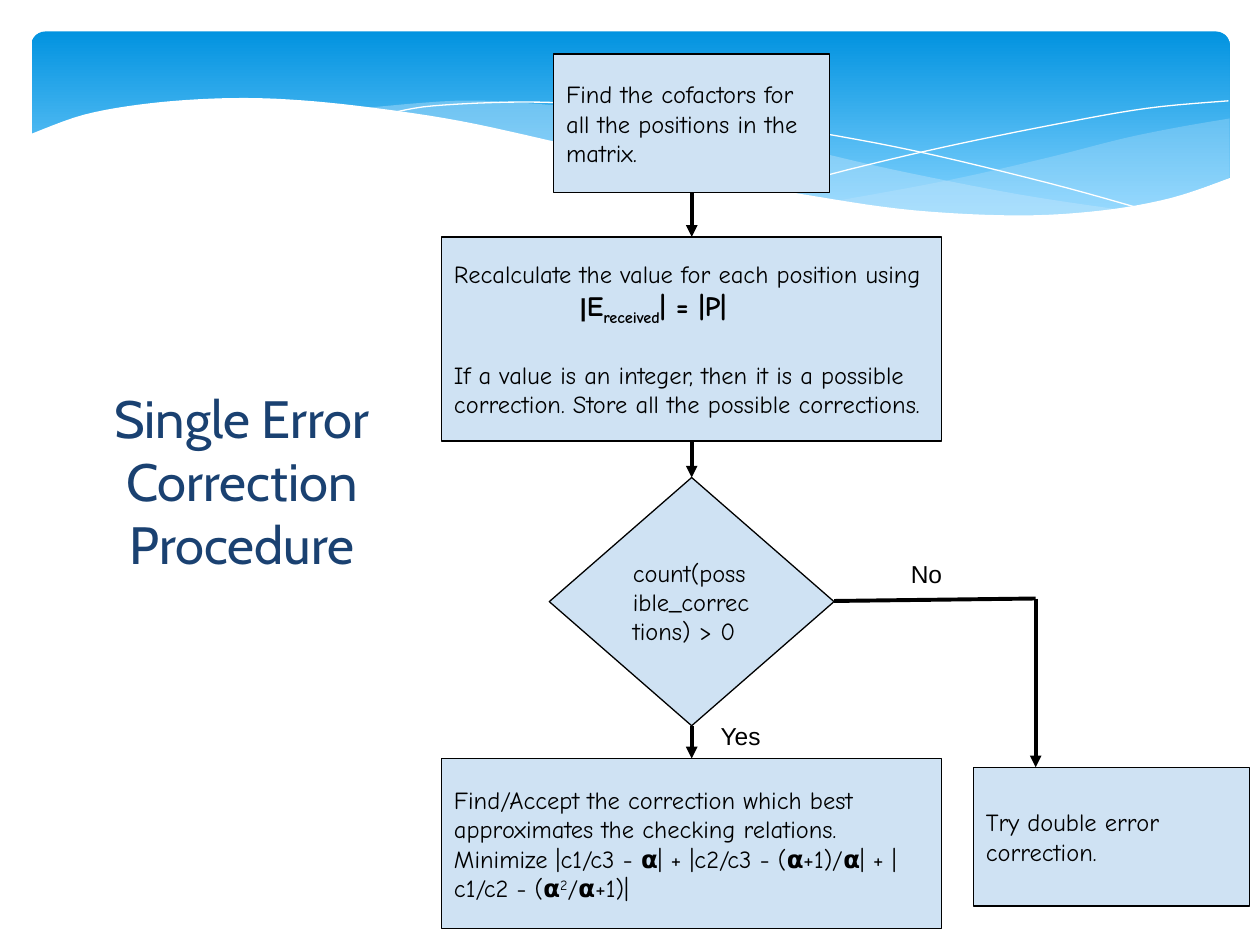
from lxml.etree import SubElement
from pptx import Presentation
from pptx.dml.color import RGBColor
from pptx.enum.shapes import MSO_CONNECTOR, MSO_SHAPE
from pptx.enum.text import MSO_ANCHOR, PP_ALIGN
from pptx.oxml.ns import qn
from pptx.util import Inches, Pt

BLACK = RGBColor(0x00, 0x00, 0x00)
WHITE = RGBColor(0xFF, 0xFF, 0xFF)
NAVY = RGBColor(0x1A, 0x41, 0x71)
BOX_BLUE = RGBColor(0xCF, 0xE2, 0xF3)
SKY_TOP = RGBColor(0x02, 0x93, 0xE0)
SKY_BOTTOM = RGBColor(0x81, 0xD2, 0xFE)
PALE = RGBColor(0xC6, 0xE7, 0xFC)

TITLE = "Single Error Correction Procedure"
MID_X = 5.49
PROCESS, DECISION = MSO_SHAPE.FLOWCHART_PROCESS, MSO_SHAPE.FLOWCHART_DECISION

# Each paragraph: (format, [(text, run format), ...])
FORMULA = {"bold": True, "size": Pt(16)}
STEPS = {  # name: (shape, centre x, top, width, height, paragraphs)
    "cofactors": (PROCESS, MID_X, 0.43, 2.19, 1.1, [
        ({}, [("Find the cofactors for all the positions in the matrix.", {})])]),
    "recalculate": (PROCESS, MID_X, 1.88, 3.97, 1.62, [
        ({}, [("Recalculate the value for each position using", {})]),
        ({"indent": 0.5}, [("|", {"bold": True, "name": "Arial"}), ("E", FORMULA),
                           ("received", {**FORMULA, "baseline": -25}),
                           ("| = |P|", FORMULA)]),
        ({"space_before": Pt(19)}, [
            ("If a value is an integer, then it is a possible correction. "
             "Store all the possible corrections.", {})])]),
    "count": (DECISION, MID_X, 3.79, 2.26, 1.97, [
        ({}, [("count(possible_corrections) > 0", {})])]),
    "accept": (PROCESS, MID_X, 6.02, 3.97, 1.35, [
        ({}, [("Find/Accept the correction which best approximates "
               "the checking relations.", {})]),
        ({}, [("Minimize |c1/c3 - 𝝰| + |c2/c3 - (𝝰+1)/𝝰| + |c1/c2 - (𝝰", {}),
              ("2", {"baseline": 30}), ("/𝝰+1)|", {})])]),
    "double": (PROCESS, 8.82, 6.09, 2.19, 1.1, [
        ({}, [("Try double error correction.", {})])]),
}
FLOW = ["cofactors", "recalculate", "count", "accept"]
NO_BRANCH = [(6.62, 4.77), (8.22, 4.75), (8.22, 6.09)]
LABELS = [("Yes", 5.62, 5.62), ("No", 7.13, 4.34)]

# Waves: outlines made of smooth curves, (curves, fill, opacity %)
WAVES = [
    ([[(9.76, 0.94), (9.35, 1.01), (8.91, 1.1), (8.32, 1.25), (7.53, 1.43), (6.61, 1.6)],
      [(6.61, 1.6), (7.19, 1.67), (7.81, 1.72), (8.35, 1.72), (8.81, 1.67),
       (9.28, 1.58), (9.76, 1.41)]], PALE, 29),
    ([[(8.93, 1.67), (8.07, 1.54), (7.06, 1.34), (6.29, 1.16), (5.55, 1), (4.89, 0.89),
       (4.2, 0.82), (3.61, 0.8), (2.86, 0.86)],
      [(2.86, 0.86), (3.62, 0.97), (4.49, 1.16), (5.3, 1.35), (6.01, 1.5), (6.8, 1.63),
       (7.48, 1.7), (8.18, 1.73), (8.93, 1.67)]], PALE, 40),
    ([[(9.77, 1.41), (9.3, 1.57), (8.75, 1.67), (8.09, 1.71), (7.26, 1.67), (6.48, 1.56),
       (5.55, 1.39), (4.47, 1.14), (3.65, 0.96), (2.92, 0.85), (2.3, 0.79), (1.77, 0.78),
       (1.19, 0.82), (0.67, 0.91), (0.23, 1.07)],
      [(0.23, 2.24), (9.77, 2.24)]], WHITE, 100),
]
STRANDS = [
    [(3.09, 0.9), (3.44, 0.84), (4.16, 0.81), (4.89, 0.84), (5.56, 0.91), (6.36, 1.03),
     (7.27, 1.2), (8.31, 1.45), (9.07, 1.66)],
    [(6.13, 1.51), (6.72, 1.35), (7.48, 1.17), (8.36, 0.99), (9.1, 0.86), (9.75, 0.8)],
]


def smooth(points, steps=6):
    """Sample a Catmull-Rom curve that passes through the points."""
    if len(points) < 3:
        return points
    ends = [points[0], *points, points[-1]]
    curve = []
    for quad in zip(ends, ends[1:], ends[2:], ends[3:]):
        for i in range(steps):
            t = i / steps
            curve.append(tuple(
                b + t * (c - a) / 2 + t**2 * (2*a - 5*b + 4*c - d) / 2
                + t**3 * (3*b - a - 3*c + d) / 2
                for a, b, c, d in zip(*quad)))
    return curve + [points[-1]]


def add_free(s, curves, close):
    pts = [(Inches(x), Inches(y)) for curve in curves for x, y in smooth(curve)]
    builder = s.shapes.build_freeform(*pts[0])
    builder.add_line_segments(pts[1:], close=close)
    sp = builder.convert_to_shape()
    sp.shadow.inherit = False
    return sp


def add_band(s):
    sp = s.shapes.add_shape(MSO_SHAPE.ROUNDED_RECTANGLE, Inches(0.25), Inches(0.25),
                            Inches(9.51), Inches(1.56))
    sp.adjustments[0] = 0.07
    sp.shadow.inherit = False
    sp.line.fill.background()
    sp.fill.gradient()
    sp.fill.gradient_angle = 270
    for stop, pos, color in zip(sp.fill.gradient_stops, (0, 0.9), (SKY_TOP, SKY_BOTTOM)):
        stop.position, stop.color.rgb = pos, color


def add_waves(s):
    def strands():
        for points in STRANDS:
            sp = add_free(s, [points], False)
            sp.fill.background()
            sp.line.color.rgb, sp.line.width = WHITE, Pt(0.75)

    for curves, color, opacity in WAVES:
        if color == WHITE:
            strands()
        sp = add_free(s, curves, True)
        sp.line.fill.background()
        sp.fill.solid()
        sp.fill.fore_color.rgb = color
        if opacity < 100:
            clr = sp._element.spPr.find(f"{qn('a:solidFill')}/{qn('a:srgbClr')}")
            SubElement(clr, qn("a:alpha")).set("val", str(opacity * 1000))


def write(tf, paragraphs, font, inset=(0.1, 0.1), align=PP_ALIGN.LEFT):
    tf.word_wrap = True
    tf.margin_left = tf.margin_right = Inches(inset[0])
    tf.margin_top = tf.margin_bottom = Inches(inset[1])
    for i, (fmt, runs) in enumerate(paragraphs):
        p = tf.add_paragraph() if i else tf.paragraphs[0]
        p.alignment = align
        for key, value in fmt.items():
            if key == "indent":
                for attr in ("marL", "indent"):
                    p._p.get_or_add_pPr().set(attr, str(Inches(value)))
            else:
                setattr(p, key, value)
        for text, run_fmt in runs:
            r = p.add_run()
            r.text = text
            for key, value in {**font, **run_fmt}.items():
                if key == "color":
                    r.font.color.rgb = value
                elif key == "baseline":
                    r._r.get_or_add_rPr().set(key, str(value * 1000))
                else:
                    setattr(r.font, key, value)


def add_step(s, kind, mid_x, top, width, height, paragraphs):
    sp = s.shapes.add_shape(kind, Inches(mid_x - width / 2), Inches(top),
                            Inches(width), Inches(height))
    sp.shadow.inherit = False
    sp.fill.solid()
    sp.fill.fore_color.rgb = BOX_BLUE
    sp.line.color.rgb, sp.line.width = BLACK, Pt(0.75)
    sp.text_frame.vertical_anchor = MSO_ANCHOR.MIDDLE
    write(sp.text_frame, paragraphs, {"name": "Comic Neue", "size": Pt(14), "color": BLACK})
    return sp


def add_line(s, start=(0, 0), end=(0, 0), arrow=True):
    cx = s.shapes.add_connector(MSO_CONNECTOR.STRAIGHT, *map(Inches, start + end))
    cx.line.color.rgb, cx.line.width = BLACK, Pt(2.25)
    if arrow:
        SubElement(cx.line._get_or_add_ln(), qn("a:tailEnd")).set("type", "triangle")
    SubElement(cx._element.spPr, qn("a:effectLst"))
    return cx


def main():
    prs = Presentation()
    prs.slide_width, prs.slide_height = Inches(10), Inches(7.5)
    s = prs.slides.add_slide(prs.slide_layouts[5])
    add_band(s)
    add_waves(s)

    boxes = {name: add_step(s, *step) for name, step in STEPS.items()}
    for upper, lower in zip(FLOW, FLOW[1:]):
        cx = add_line(s)
        cx.begin_connect(boxes[upper], 2)
        cx.end_connect(boxes[lower], 0)
    corner, last = NO_BRANCH[1:]
    add_line(s, NO_BRANCH[0], corner, arrow=False)
    add_line(s, corner, last)

    for text, x, y in LABELS:
        tb = s.shapes.add_textbox(Inches(x), Inches(y), Inches(0.59), Inches(0.44))
        write(tb.text_frame, [({}, [(text, {})])],
              {"name": "Arial", "size": Pt(14), "color": BLACK})

    title = s.shapes.title
    title.left, title.top, title.width, title.height = map(Inches, (0.55, 0.39, 2.74, 6.85))
    title.text_frame.vertical_anchor = MSO_ANCHOR.MIDDLE
    write(title.text_frame, [({}, [(TITLE, {})])],
          {"name": "Cabin", "size": Pt(30), "color": NAVY}, (0.1, 0.05), PP_ALIGN.CENTER)
    s.shapes._spTree.append(title._element)
    prs.save("out.pptx")


if __name__ == "__main__":
    main()
